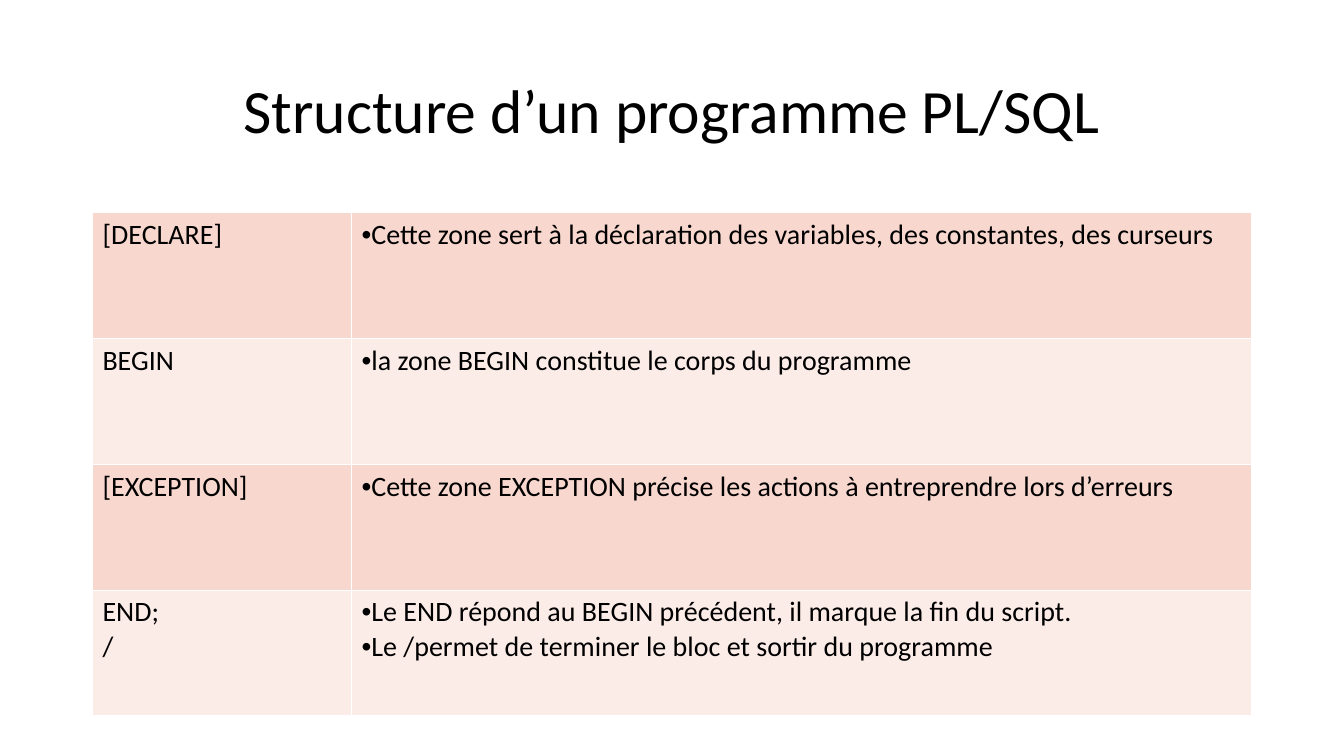
import pptx
import pptx.dml.color
import pptx.enum.text
import pptx.oxml.ns
import pptx.util
from dataclasses import dataclass
from lxml import etree
from pptx.util import Cm


@dataclass(frozen=True)
class Theme:
    font: str = "Calibri"
    text: str = "000000"
    border: str = "FFFFFF"
    bands: tuple = ("F8D7CE", "FCECE8")
    title_size: int = 44
    body_size: int = 20
    border_width: int = 1


THEME = Theme()

# Block keyword lines, then the explanations beside them
BLOCKS = [
    (["[DECLARE]"],
     ["Cette zone sert à la déclaration des variables, des constantes, des curseurs"]),
    (["BEGIN"],
     ["la zone BEGIN constitue le corps du programme"]),
    (["[EXCEPTION]"],
     ["Cette zone EXCEPTION précise les actions à entreprendre lors d’erreurs"]),
    (["END;", "/"],
     ["Le END répond au BEGIN précédent, il marque la fin du script.",
      "Le /permet de terminer le bloc et sortir du programme"]),
]


def rgb(value):
    return pptx.dml.color.RGBColor.from_string(value)


def apply_format(target, values):
    for name, value in values.items():
        setattr(target, name, value)


def format_font(font, size):
    apply_format(font, {"name": THEME.font, "size": pptx.util.Pt(size), "bold": False})
    font.color.rgb = rgb(THEME.text)


def add_bullet(paragraph):
    properties = paragraph._p.get_or_add_pPr()
    properties.set("marL", "0")
    properties.set("indent", str(-Cm(0.79)))
    for tag, attribute, value in (("a:buFont", "typeface", "Arial"),
                                  ("a:buChar", "char", "•")):
        bullet_part = etree.SubElement(properties, pptx.oxml.ns.qn(tag))
        bullet_part.set(attribute, value)


def add_borders(cell):
    properties = cell._tc.get_or_add_tcPr()
    for position, side in enumerate(("a:lnL", "a:lnR", "a:lnT", "a:lnB")):
        line = etree.Element(pptx.oxml.ns.qn(side))
        line.set("w", str(pptx.util.Pt(THEME.border_width)))
        fill = etree.SubElement(line, pptx.oxml.ns.qn("a:solidFill"))
        color = etree.SubElement(fill, pptx.oxml.ns.qn("a:srgbClr"))
        color.set("val", THEME.border)
        properties.insert(position, line)


def fill_cell(cell, lines, band, bulleted):
    cell.fill.solid()
    cell.fill.fore_color.rgb = rgb(band)
    add_borders(cell)
    cell.text_frame.text = "\n".join(lines)
    for paragraph in cell.text_frame.paragraphs:
        format_font(paragraph.runs[0].font, THEME.body_size)
        if bulleted:
            add_bullet(paragraph)


def place_title(slide, left, top, width, height):
    title = slide.shapes.title
    apply_format(title, {"left": left, "top": top, "width": width, "height": height})
    title.text_frame.text = "Structure d’un programme PL/SQL"
    apply_format(title.text_frame, {
        "vertical_anchor": pptx.enum.text.MSO_ANCHOR.MIDDLE,
        "word_wrap": True,
    })
    heading = title.text_frame.paragraphs[0]
    apply_format(heading, {
        "alignment": pptx.enum.text.PP_ALIGN.CENTER,
        "line_spacing": 0.9,
    })
    format_font(heading.runs[0].font, THEME.title_size)


def place_blocks(slide, left, top, width, height):
    blocks = slide.shapes.add_table(len(BLOCKS), 2, left, top, width, height).table
    apply_format(blocks, {"first_row": False, "horz_banding": False})
    keyword_width = Cm(6.53)
    blocks.columns[0].width = keyword_width
    blocks.columns[1].width = width - keyword_width
    for row, block in enumerate(BLOCKS):
        band = THEME.bands[row % len(THEME.bands)]
        for column, lines in enumerate(block):
            fill_cell(blocks.cell(row, column), lines, band, bulleted=column == 1)


def main():
    deck = pptx.Presentation()
    apply_format(deck, {"slide_width": Cm(33.87), "slide_height": Cm(19.05)})
    slide = deck.slides.add_slide(deck.slide_layouts.get_by_name("Title Only"))

    # Title and table share the same margins
    margin = Cm(2.33)
    content_width = deck.slide_width - 2 * margin
    place_title(slide, margin, Cm(1.01), content_width, Cm(3.68))
    place_blocks(slide, margin, Cm(5.36), content_width, Cm(12.68))
    deck.save("out.pptx")


if __name__ == "__main__":
    main()
